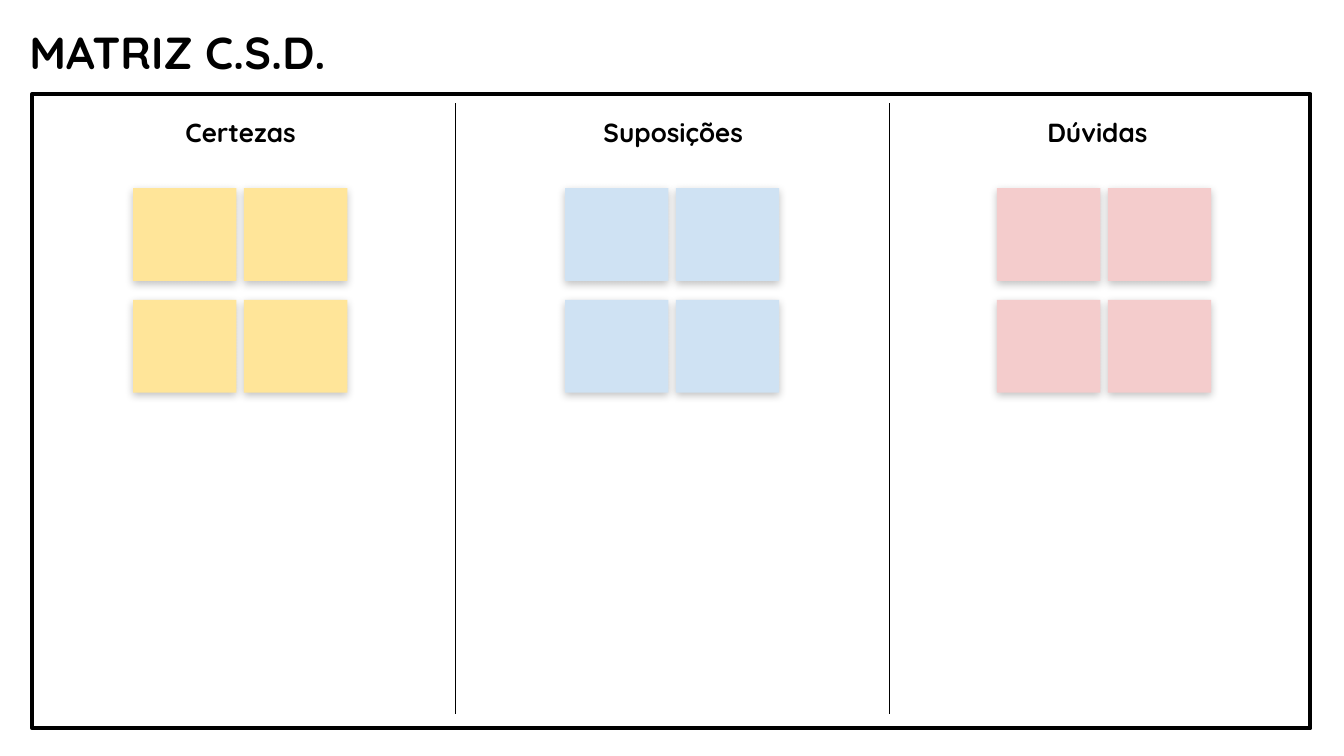
"""Builds a slide with a matrix of certainties, suppositions and doubts."""
from lxml.etree import SubElement
from pptx import Presentation
from pptx.dml.color import RGBColor
from pptx.enum.shapes import MSO_CONNECTOR as Connector, MSO_SHAPE as Shape
from pptx.enum.text import MSO_ANCHOR as Anchor, MSO_AUTO_SIZE as AutoSize, PP_ALIGN as Align
from pptx.oxml.ns import qn
from pptx.util import Pt

COLORS = {
    "ink": "000000",
    "yellow": "FFE599",
    "blue": "CFE2F3",
    "pink": "F4CCCC",
}
COLUMNS = [
    ("Certezas", "yellow", 34.6, 188.6),
    ("Suposições", "blue", 276.5, 168.5),
    ("Dúvidas", "pink", 514.1, 147.6),
]
DIVIDERS = [244.1, 476.6]
NOTES_LEFT, NOTES_TOP = 71.3, 100.8
NOTE_WIDTH, NOTE_HEIGHT = 55.4, 49.7
NOTE_STEP_X, NOTE_STEP_Y = 59.4, 59.9
COLUMN_STEP = 231.4


def color(name):
    return RGBColor.from_string(COLORS[name])


def write(box, text, size, font, align=Align.LEFT, anchor=Anchor.TOP, inset=7.2, spacing=1.0):
    frame = box.text_frame
    frame.word_wrap = True
    frame.auto_size = AutoSize.NONE
    frame.vertical_anchor = anchor
    frame.margin_left = frame.margin_right = Pt(inset)
    frame.margin_top = frame.margin_bottom = Pt(inset)
    para = frame.paragraphs[0]
    para.alignment = align
    para.line_spacing = spacing
    para.space_before = Pt(0)
    span = para.add_run()
    span.text = text
    span.font.name = font
    span.font.size = Pt(size)
    span.font.bold = True
    span.font.color.rgb = color("ink")


class Board:
    """Holds the font and the slide being drawn."""

    def __init__(self, slide, font):
        self.slide = slide
        self.font = font

    def title(self, text, left, top, width, height):
        box = self.slide.shapes.title
        box.left, box.top, box.width, box.height = map(Pt, (left, top, width, height))
        write(box, text, 24, self.font, anchor=Anchor.MIDDLE, inset=2.7)

    def heading(self, text, left, top, width, height):
        box = self.slide.shapes.add_textbox(*map(Pt, (left, top, width, height)))
        write(box, text, 14, self.font, align=Align.CENTER, spacing=0.8)

    def rectangle(self, left, top, width, height):
        box = self.slide.shapes.add_shape(Shape.RECTANGLE, *map(Pt, (left, top, width, height)))
        box.shadow.inherit = False
        return box

    def frame(self, left, top, width, height):
        box = self.rectangle(left, top, width, height)
        box.fill.background()
        box.line.color.rgb = color("ink")
        box.line.width = Pt(2.25)

    def divider(self, x, top, bottom):
        line = self.slide.shapes.add_connector(Connector.STRAIGHT, *map(Pt, (x, top, x, bottom)))
        line.line.color.rgb = color("ink")
        line.line.width = Pt(0.75)
        SubElement(line._element.spPr, qn("a:effectLst"))

    def note(self, fill, left, top):
        box = self.rectangle(left, top, NOTE_WIDTH, NOTE_HEIGHT)
        box.fill.solid()
        box.fill.fore_color.rgb = color(fill)
        box.line.fill.background()
        effects = box._element.spPr.find(qn("a:effectLst"))
        shadow = SubElement(effects, qn("a:outerShdw"), blurRad=str(Pt(4.5)),
                            dist=str(Pt(1.5)), dir="5400000", algn="bl", rotWithShape="0")
        tint = SubElement(shadow, qn("a:srgbClr"), val=COLORS["ink"])
        SubElement(tint, qn("a:alpha"), val="24000")


def main():
    deck = Presentation()
    deck.slide_width, deck.slide_height = Pt(720), Pt(405)
    page = deck.slides.add_slide(deck.slide_layouts[5])
    board = Board(page, "Quicksand")
    board.title("MATRIZ C.S.D.", 13, 11.5, 603.4, 32.4)
    board.frame(17.3, 50.4, 684.7, 339.8)
    for x in DIVIDERS:
        board.divider(x, 55.4, 382.3)
    for index, (name, fill, left, width) in enumerate(COLUMNS):
        board.heading(name, left, 58.3, width, 46.1)
        for row in range(2):
            for column in range(2):
                board.note(fill, NOTES_LEFT + index * COLUMN_STEP + column * NOTE_STEP_X,
                           NOTES_TOP + row * NOTE_STEP_Y)
    deck.save("out.pptx")


if __name__ == "__main__":
    main()
